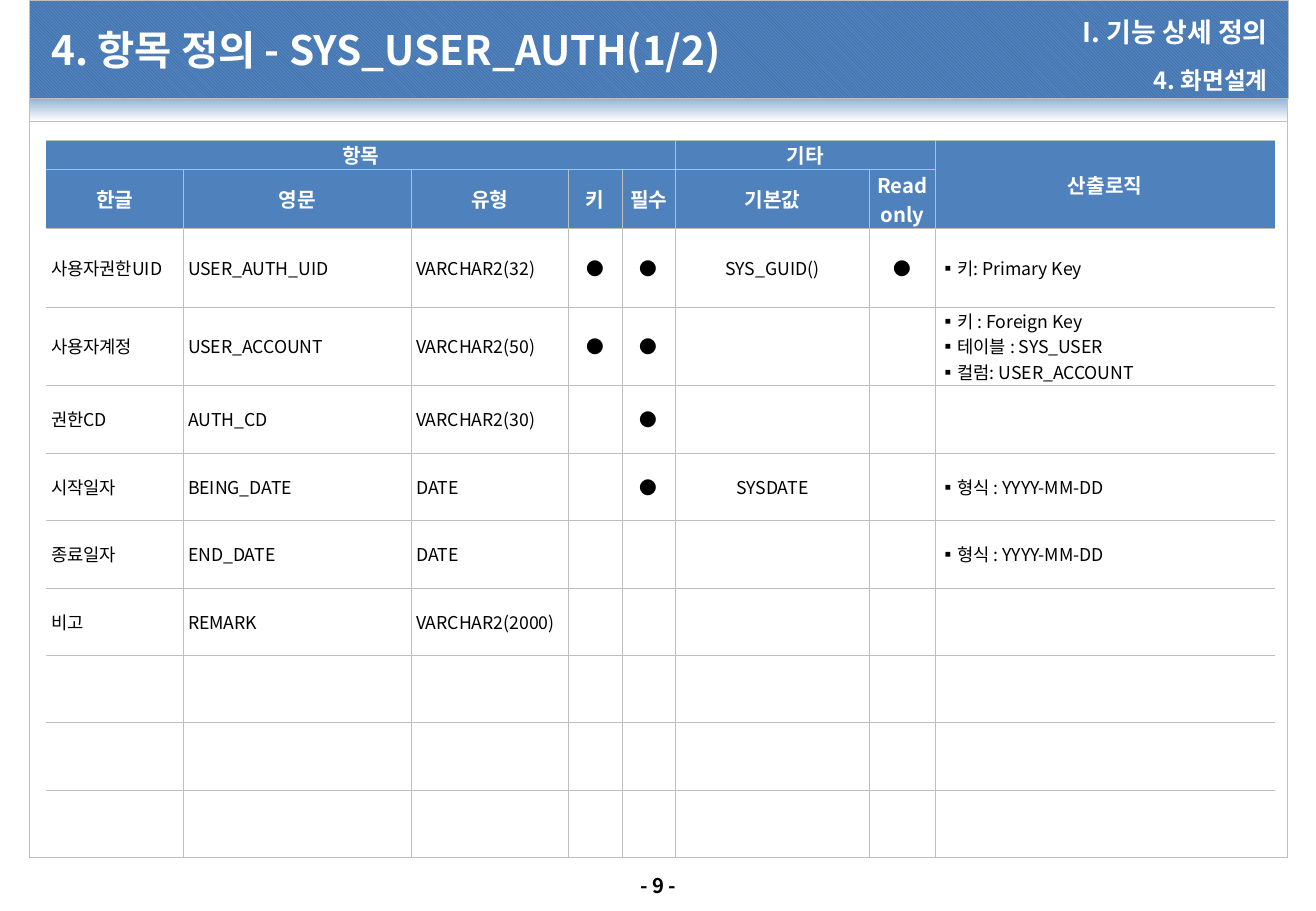
from dataclasses import dataclass

from lxml import etree
from pptx import Presentation
from pptx.dml.color import RGBColor
from pptx.enum.dml import MSO_LINE, MSO_PATTERN
from pptx.enum.shapes import MSO_SHAPE
from pptx.enum.text import MSO_ANCHOR, PP_ALIGN
from pptx.oxml.ns import qn
from pptx.util import Cm, Pt

RECTANGLE = MSO_SHAPE.RECTANGLE
DOTTED = MSO_LINE.ROUND_DOT
DIAGONAL = MSO_PATTERN.LIGHT_DOWNWARD_DIAGONAL
MIDDLE, TOP = MSO_ANCHOR.MIDDLE, MSO_ANCHOR.TOP
LEFT, CENTER, RIGHT = PP_ALIGN.LEFT, PP_ALIGN.CENTER, PP_ALIGN.RIGHT

FONT = "Noto Sans CJK KR"
BLUE, DARK_BLUE, PALE_BLUE = "4F81BD", "376092", "95B3D7"
WHITE, BLACK, GRAY = "FFFFFF", "000000", "BFBFBF"
LINE_WIDTH = Pt(0.25)
INSET = Cm(0.1)
DOT, BULLET = "●", "▪"

COLUMN_WIDTHS = [2.86, 4.77, 3.28, 1.12, 1.12, 4.06, 1.37, 7.11]
ROW_HEIGHTS = [0.61, 1.24] + [1.64] * 2 + [1.41] * 7
CENTERED_COLUMNS = range(3, 7)
LOGIC_COLUMN = 7
HEADER_ROWS = 2


@dataclass
class Label:
    text: str
    left: float
    top: float
    width: float
    height: float
    size: float
    align: PP_ALIGN
    color: str = WHITE
    anchor: MSO_ANCHOR = MIDDLE
    inset: float = 0.1
    wrap: bool = True
    line_spacing: float = 1.0
    gap: float = 0


@dataclass
class Field:
    korean: str
    english: str
    kind: str
    key: str = ""
    required: str = ""
    default: str = ""
    read_only: str = ""
    logic: str = ""

    def values(self) -> list[str]:
        return [self.korean, self.english, self.kind, self.key, self.required,
                self.default, self.read_only, self.logic]


LABELS = [
    Label("- 9 -", 12.9, 18.14, 1.73, 0.76, 12, CENTER, BLACK, TOP, 0.25, False),
    Label("I. 기능 상세 정의", 17.96, 0.2, 8.64, 0.94, 16, RIGHT),
    Label("4. 항목 정의 - SYS_USER_AUTH(1/2)", 0.97, 0.2, 16.99, 1.68, 24, LEFT),
    Label("4. 화면설계", 17.96, 1.19, 8.64, 0.69, 14, RIGHT, line_spacing=1.5, gap=2.8),
]

HEADERS = [
    ["항목", "", "", "", "", "기타", "", "산출로직"],
    ["한글", "영문", "유형", "키", "필수", "기본값", "Read only", ""],
]

FIELDS = [
    Field("사용자권한UID", "USER_AUTH_UID", "VARCHAR2(32)", DOT, DOT, "SYS_GUID()", DOT,
          "키: Primary Key"),
    Field("사용자계정", "USER_ACCOUNT", "VARCHAR2(50)", DOT, DOT,
          logic="키 : Foreign Key\n테이블 : SYS_USER\n컬럼: USER_ACCOUNT"),
    Field("권한CD", "AUTH_CD", "VARCHAR2(30)", required=DOT),
    Field("시작일자", "BEING_DATE", "DATE", required=DOT, default="SYSDATE",
          logic="형식 : YYYY-MM-DD"),
    Field("종료일자", "END_DATE", "DATE", logic="형식 : YYYY-MM-DD"),
    Field("비고", "REMARK", "VARCHAR2(2000)"),
]


def rgb(color: str) -> RGBColor:
    return RGBColor.from_string(color)


def add_span(para, text: str, size: float, color: str, bold: bool) -> None:
    span = para.add_run()
    span.text = text
    span.font.size = Pt(size)
    span.font.bold = bold
    span.font.color.rgb = rgb(color)
    span.font.name = FONT
    etree.SubElement(span.font._element, qn("a:ea"), typeface=FONT)


def add_panel(page, top: float, height: float):
    panel = page.shapes.add_shape(RECTANGLE, Cm(0.61), Cm(top), Cm(26.31), Cm(height))
    panel.shadow.inherit = False
    panel.line.color.rgb = rgb(GRAY)
    panel.line.width = LINE_WIDTH
    panel.line.dash_style = DOTTED
    return panel


def add_background(page) -> None:
    fade = add_panel(page, 2.06, 0.48).fill
    fade.gradient()
    fade.gradient_angle = 270
    for stop, color in zip(fade.gradient_stops, (PALE_BLUE, WHITE)):
        stop.color.rgb = rgb(color)

    body = add_panel(page, 2.54, 15.39).fill
    body.solid()
    body.fore_color.rgb = rgb(WHITE)

    banner = add_panel(page, 0, 2.06)
    banner.rotation = 180
    banner.fill.patterned()
    banner.fill.pattern = DIAGONAL
    banner.fill.fore_color.rgb = rgb(DARK_BLUE)
    banner.fill.back_color.rgb = rgb(BLUE)


def add_label(page, label: Label) -> None:
    box = page.shapes.add_textbox(Cm(label.left), Cm(label.top), Cm(label.width), Cm(label.height))
    frame = box.text_frame
    frame.word_wrap = label.wrap
    frame.vertical_anchor = label.anchor
    frame.margin_left = frame.margin_right = Cm(label.inset)
    frame.margin_top = frame.margin_bottom = Cm(min(label.inset, 0.13))
    para = frame.paragraphs[0]
    para.alignment = label.align
    para.line_spacing = label.line_spacing
    para.space_before = para.space_after = Pt(label.gap)
    add_span(para, label.text, label.size, label.color, True)


def add_bullet(para) -> None:
    properties = para._p.get_or_add_pPr()
    properties.set("marL", str(Cm(0.25)))
    properties.set("indent", str(-Cm(0.25)))
    etree.SubElement(properties, qn("a:buFont"), typeface=FONT)
    etree.SubElement(properties, qn("a:buChar"), char=BULLET)


def set_borders(cell, column: int) -> None:
    properties = cell._tc.get_or_add_tcPr()
    hidden = {"lnL": column == 0, "lnR": column == LOGIC_COLUMN}
    for position, side in enumerate(("lnL", "lnR", "lnT", "lnB")):
        border = etree.Element(qn(f"a:{side}"), w=str(LINE_WIDTH))
        if hidden.get(side):
            etree.SubElement(border, qn("a:noFill"))
        else:
            fill = etree.SubElement(border, qn("a:solidFill"))
            etree.SubElement(fill, qn("a:srgbClr"), val=GRAY)
        properties.insert(position, border)


def fill_cell(cell, text: str, column: int, is_header: bool) -> None:
    cell.fill.solid()
    cell.fill.fore_color.rgb = rgb(BLUE if is_header else WHITE)
    cell.vertical_anchor = MIDDLE
    cell.margin_left = cell.margin_right = INSET
    cell.margin_top = cell.margin_bottom = 0
    set_borders(cell, column)
    frame = cell.text_frame
    for index, line in enumerate(text.splitlines()):
        para = frame.add_paragraph() if index else frame.paragraphs[0]
        para.alignment = CENTER if is_header or column in CENTERED_COLUMNS else LEFT
        if column == LOGIC_COLUMN and not is_header:
            add_bullet(para)
        add_span(para, line, 12 if is_header else 10.5, WHITE if is_header else BLACK, is_header)


def add_field_table(page) -> None:
    table = page.shapes.add_table(len(ROW_HEIGHTS), len(COLUMN_WIDTHS), Cm(0.97), Cm(2.93),
                                  Cm(sum(COLUMN_WIDTHS)), Cm(sum(ROW_HEIGHTS))).table
    for column, width in zip(table.columns, COLUMN_WIDTHS):
        column.width = Cm(width)
    for row, height in zip(table.rows, ROW_HEIGHTS):
        row.height = Cm(height)
    contents = HEADERS + [field.values() for field in FIELDS]
    contents += [[""] * len(COLUMN_WIDTHS)] * (len(ROW_HEIGHTS) - len(contents))
    for row, texts in enumerate(contents):
        for column, text in enumerate(texts):
            fill_cell(table.cell(row, column), text, column, row < HEADER_ROWS)
    for first, last in (((0, 0), (0, 4)), ((0, 5), (0, 6)), ((0, 7), (1, 7))):
        table.cell(*first).merge(table.cell(*last))


deck = Presentation()
deck.slide_width, deck.slide_height = Cm(27.51), Cm(19.05)
page = deck.slides.add_slide(deck.slide_layouts[6])
add_background(page)
for label in LABELS:
    add_label(page, label)
add_field_table(page)
deck.save("out.pptx")
